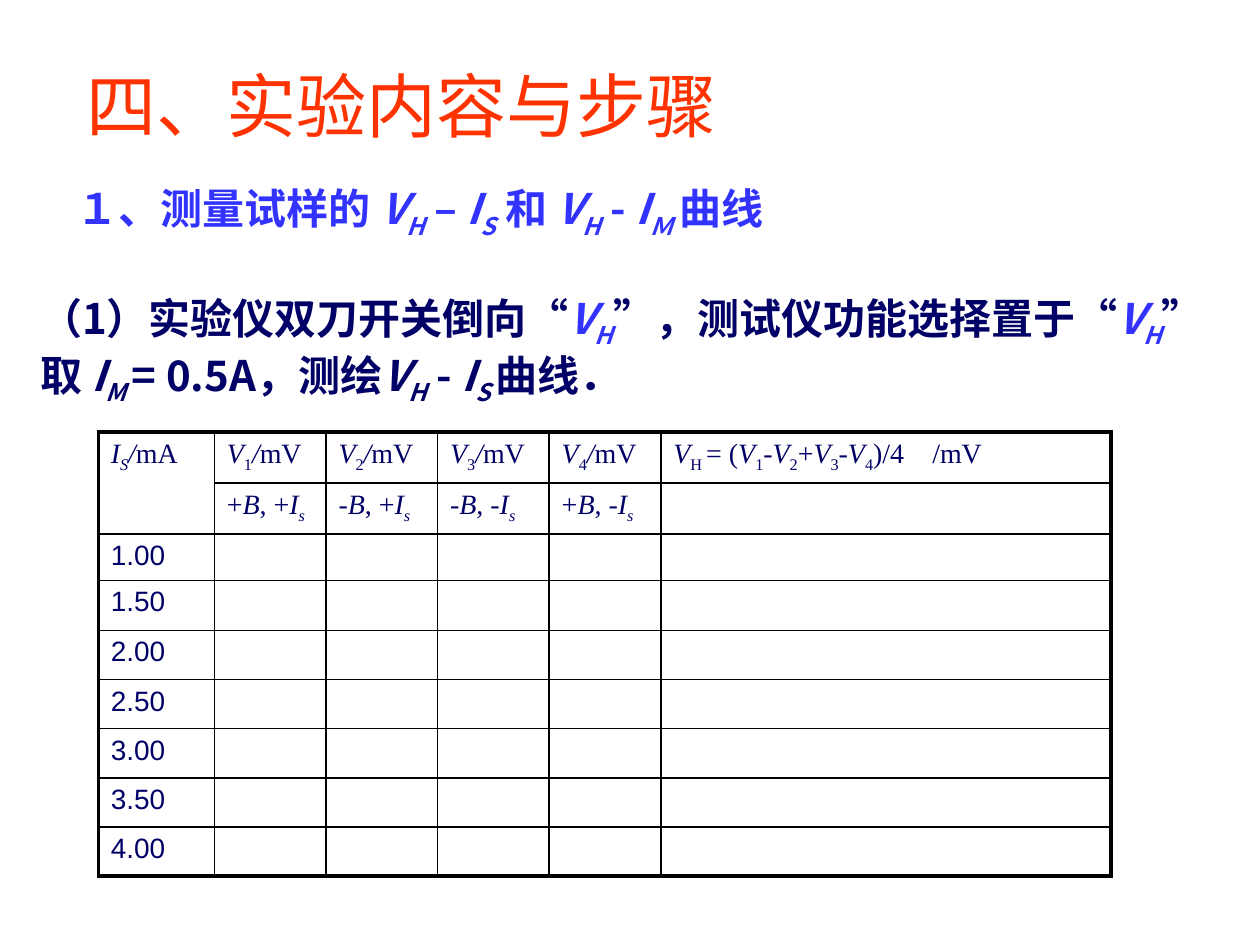
from itertools import product
from typing import NamedTuple

from lxml.etree import SubElement
from pptx import Presentation
from pptx.dml.color import RGBColor
from pptx.enum.text import MSO_ANCHOR, MSO_AUTO_SIZE
from pptx.oxml.ns import qn
from pptx.util import Cm, Pt

ORANGE = RGBColor(0xFF, 0x33, 0x00)
BLUE = RGBColor(0x33, 0x33, 0xFF)
NAVY = RGBColor(0x00, 0x00, 0x66)
BLACK = RGBColor(0x00, 0x00, 0x00)

CHINESE_FONT = "Noto Sans CJK SC"
FORMULA_FONT = "Times New Roman"
NUMBER_FONT = "Arial"

OUTER_BORDER = Pt(2.25)
INNER_BORDER = Pt(1)
TABLE_TEXT_SIZE = 16
COLUMN_WIDTHS = [2.34, 2.25, 2.25, 2.25, 2.25, 9.08]
ROW_HEIGHTS = [0.94] * 3 + [1.01] + [0.99] * 5
UNIT_TAB = Cm(5.22)


class TextBlock(NamedTuple):
    left: float
    top: float
    width: float
    height: float
    lines: list[str]
    size: float
    color: RGBColor
    bold: bool


TEXT_BLOCKS = [
    TextBlock(1.5, 1.12, 13.61, 1.96, ["四、实验内容与步骤"], 40, ORANGE, False),
    TextBlock(1.3, 3.63, 16.99, 1.27,
              ["１、测量试样的 *V_H_* – *I_S_* 和 *V_H_* - *I_Ｍ _*曲线"],
              24, BLUE, True),
    TextBlock(0.56, 5.89, 24.41, 2.31,
              ["（1）实验仪双刀开关倒向“~*V_H_*~”，测试仪功能选择置于“~*V_H_*~”",
               "取 *I_M _*= 0.5A，测绘*V_H_* - *I_S _*曲线．"],
              24, NAVY, True),
]

HEADINGS = [
    ["*I_S_/*mA"] + [f"*V*_{number}_*/*mV" for number in range(1, 5)]
    + ["*V*_H _= (*V*_1_*-V*_2_+*V*_3_*-V*_4_)/4\t/mV"],
    [""] + [f"{field}*B*, {current}*I_s_*"
            for field, current in ("++", "-+", "--", "+-")] + [""],
]
CURRENTS = [f"{1 + step * 0.5:.2f}" for step in range(7)]


def write_text(paragraph, text: str, *, size: float, color: RGBColor,
               font: str, bold: bool = False) -> None:
    """Write marked text: * toggles italic, _ subscript, ~ the blue accent."""
    active = {"*": False, "_": False, "~": False}
    piece = ""
    for character in text + "*":
        if character not in active:
            piece += character
            continue
        if piece:
            run = paragraph.add_run()
            run.text = piece
            run.font.size = Pt(size)
            run.font.name = font
            run.font.bold = bold
            run.font.italic = active["*"]
            run.font.color.rgb = BLUE if active["~"] else color
            properties = run.font._element
            if active["_"]:
                properties.set("baseline", "-25000")
            SubElement(properties, qn("a:ea"), typeface=font)
            piece = ""
        active[character] = not active[character]


def add_text_block(slide, block: TextBlock) -> None:
    box = slide.shapes.add_textbox(Cm(block.left), Cm(block.top),
                                   Cm(block.width), Cm(block.height))
    frame = box.text_frame
    frame.word_wrap = True
    frame.auto_size = MSO_AUTO_SIZE.SHAPE_TO_FIT_TEXT
    frame.vertical_anchor = MSO_ANCHOR.MIDDLE
    for index, line in enumerate(block.lines):
        paragraph = frame.add_paragraph() if index else frame.paragraphs[0]
        write_text(paragraph, line, size=block.size, color=block.color,
                   font=CHINESE_FONT, bold=block.bold)


def set_borders(cell, outer_sides: dict[str, bool]) -> None:
    """Draw all four sides, thicker where the side is on the table's edge."""
    properties = cell._tc.get_or_add_tcPr()
    for side, is_outer in outer_sides.items():
        width = OUTER_BORDER if is_outer else INNER_BORDER
        line = SubElement(properties, qn(f"a:ln{side}"), w=str(int(width)))
        fill = SubElement(line, qn("a:solidFill"))
        SubElement(fill, qn("a:srgbClr"), val=str(BLACK))


def fill_cell(cell, text: str, font: str) -> None:
    paragraph = cell.text_frame.paragraphs[0]
    if "\t" in text:
        tabs = SubElement(paragraph._p.get_or_add_pPr(), qn("a:tabLst"))
        SubElement(tabs, qn("a:tab"), pos=str(int(UNIT_TAB)), algn="l")
    if text:
        write_text(paragraph, text, size=TABLE_TEXT_SIZE, color=NAVY, font=font)
    else:
        SubElement(paragraph._p, qn("a:endParaRPr"),
                   sz=str(TABLE_TEXT_SIZE * 100))


def add_measurement_table(slide) -> None:
    row_count, column_count = len(ROW_HEIGHTS), len(COLUMN_WIDTHS)
    frame = slide.shapes.add_table(row_count, column_count, Cm(1.98), Cm(8.71),
                                   Cm(sum(COLUMN_WIDTHS)), Cm(sum(ROW_HEIGHTS)))
    table = frame.table
    table.first_row = False
    table.horz_banding = False
    for column, width in zip(table.columns, COLUMN_WIDTHS):
        column.width = Cm(width)
    for row, height in zip(table.rows, ROW_HEIGHTS):
        row.height = Cm(height)

    contents = HEADINGS + [[current] + [""] * (column_count - 1)
                           for current in CURRENTS]
    for row, column in product(range(row_count), range(column_count)):
        cell = table.cell(row, column)
        font = FORMULA_FONT if row < len(HEADINGS) else NUMBER_FONT
        fill_cell(cell, contents[row][column], font)
        set_borders(cell, {"L": column == 0, "R": column == column_count - 1,
                           "T": row == 0, "B": row == row_count - 1})
        cell.fill.background()
    table.cell(0, 0).merge(table.cell(1, 0))


def main() -> None:
    presentation = Presentation()
    presentation.slide_width = Cm(25.4)
    presentation.slide_height = Cm(19.05)
    slide = presentation.slides.add_slide(presentation.slide_layouts[6])
    title, subtitle, instructions = TEXT_BLOCKS
    add_text_block(slide, title)
    add_text_block(slide, subtitle)
    add_measurement_table(slide)
    add_text_block(slide, instructions)
    presentation.save("out.pptx")


if __name__ == "__main__":
    main()
